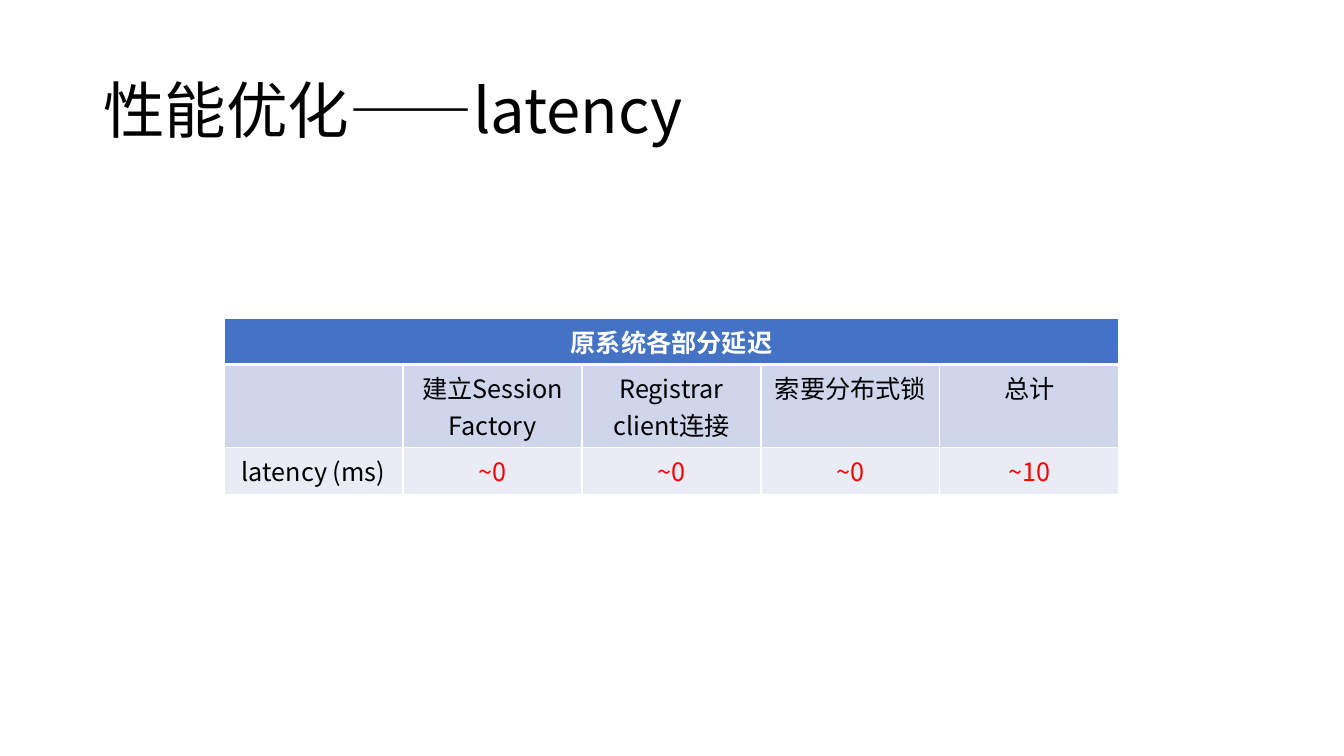
from lxml.etree import SubElement
from pptx import Presentation
from pptx.dml.color import RGBColor
from pptx.enum.text import MSO_ANCHOR, MSO_AUTO_SIZE, PP_ALIGN
from pptx.oxml.ns import qn
from pptx.util import Emu, Pt

TITLE = "性能优化——latency"
HEAD = "原系统各部分延迟"
ROWS = [
    ["", "建立Session Factory", "Registrar client连接", "索要分布式锁", "总计"],
    ["latency (ms)", "~0", "~0", "~0", "~10"],
]
FONT = "Noto Sans CJK SC"
COLORS = {"white": "FFFFFF", "black": "000000", "red": "FF0000",
          "head": "4472C4", "names": "CFD5EA", "values": "E9EBF5"}
SLIDE = (1344, 756)
TITLE_BOX = (93, 41, 1159, 146)
LEFT, TOP, COL, ROW = 224, 318, 179, 41


def px(n):
    return Emu(round(n * 914400 / 100.8))


def rgb(name):
    return RGBColor.from_string(COLORS[name])


def write(frame, text, size=18, color="black", bold=False,
          align=PP_ALIGN.CENTER, space=None):
    para = frame.paragraphs[0]
    para.alignment = align
    para.line_spacing = space
    if not text:
        return
    run = para.add_run()
    run.text = text
    font = run.font
    font.size, font.bold, font.name = Pt(size), bold, FONT
    font.color.rgb = rgb(color)
    SubElement(font._element, qn("a:ea"), typeface=FONT)


def edge(cell, **widths):
    """Draw white borders, with widths in points by side: L, R, T, B."""
    props = cell._tc.get_or_add_tcPr()
    for side in "LRTB":
        line = SubElement(props, qn("a:ln" + side), w=str(Pt(widths.get(side, 1))))
        fill = SubElement(line, qn("a:solidFill"))
        SubElement(fill, qn("a:srgbClr"), val=COLORS["white"])


def paint(cell, color):
    cell.fill.solid()
    cell.fill.fore_color.rgb = rgb(color)


def main():
    deck = Presentation()
    deck.slide_width, deck.slide_height = map(px, SLIDE)
    slide = deck.slides.add_slide(deck.slide_layouts[5])

    title = slide.shapes.title
    title.left, title.top, title.width, title.height = map(px, TITLE_BOX)
    frame = title.text_frame
    frame.word_wrap = True
    frame.auto_size = MSO_AUTO_SIZE.NONE
    frame.vertical_anchor = MSO_ANCHOR.MIDDLE
    write(frame, TITLE, size=44, align=PP_ALIGN.LEFT, space=0.9)

    cols, count = len(ROWS[0]), len(ROWS) + 1
    table = slide.shapes.add_table(
        count, cols, px(LEFT), px(TOP), px(COL * cols), px(ROW * count)).table
    for col in table.columns:
        col.width = px(COL)
    for row in table.rows:
        row.height = px(ROW)

    for c in range(cols):
        cell = table.cell(0, c)
        edge(cell, B=3)
        paint(cell, "head")
    table.cell(0, 0).merge(table.cell(0, cols - 1))
    write(table.cell(0, 0).text_frame, HEAD, color="white", bold=True)

    for r, (row, fill) in enumerate(zip(ROWS, ("names", "values")), 1):
        for c, text in enumerate(row):
            cell = table.cell(r, c)
            edge(cell, T=3 if r == 1 else 1)
            paint(cell, fill)
            write(cell.text_frame, text,
                  color="red" if fill == "values" and c else "black")

    deck.save("out.pptx")


if __name__ == "__main__":
    main()
